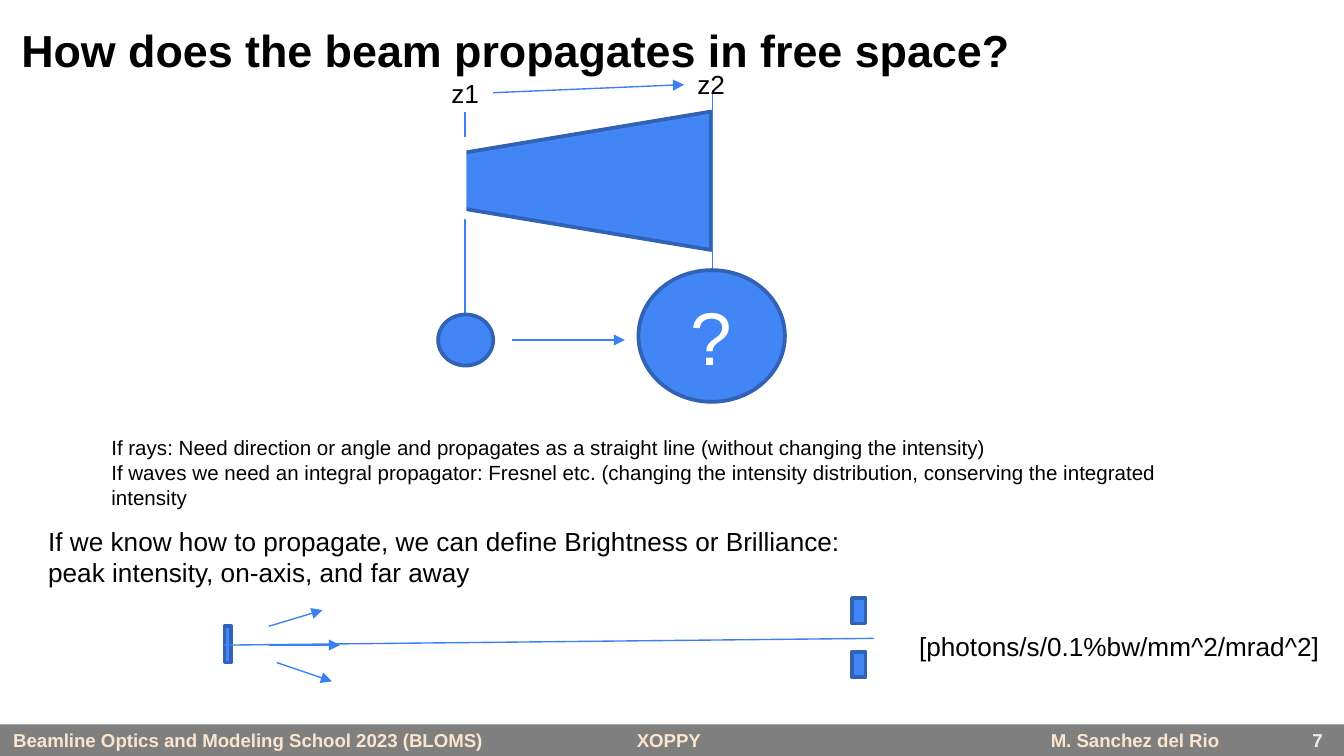
from lxml import etree
from pptx import Presentation, util as u
from pptx.dml.color import RGBColor
from pptx.enum import shapes, text
from pptx.oxml.ns import qn

THEME = dict(
    font="Arial", black="000000", white="FFFFFF", fill="4285F4", edge="3162B5",
    line="3C81F3", footer="FCE5CD", number="EFEFEF",
    title=24, body=14, note=11, small=10, big=40, edge_pt=2, line_pt=0.75)

SHAPE = shapes.MSO_SHAPE
ALIGN = text.PP_ALIGN
MIDDLE = text.MSO_ANCHOR.MIDDLE

# Content: box, paragraphs, size key, wrap
TEXTS = [
    ((0.73, 3.19, 8.55, 0.66), [
        "If rays: Need direction or angle and propagates as a straight line "
        "(without changing the intensity)",
        "If waves we need an integral propagator: Fresnel etc. (changing the "
        "intensity distribution, conserving the integrated intensity"], "note", True),
    ((0.26, 3.86, 8.78, 0.57), [
        "If we know how to propagate, we can define Brightness or Brilliance:",
        "peak intensity, on-axis, and far away"], "body", True),
    ((3.26, 0.53, 0.41, 0.34), ["z1"], "body", False),
    ((5.09, 0.46, 0.41, 0.34), ["z2"], "body", False),
    ((6.74, 4.64, 3.19, 0.34), ["[photons/s/0.1%bw/mm^2/mrad^2]"], "body", False),
]
TITLE = "How does the beam propagates in free space?"
FOOTER = ["Beamline Optics and Modeling School 2023 (BLOMS)", "XOPPY",
          "M. Sanchez del Rio"]
FOOTER_TABS = [4.64, 7.72]
PAGE = "7"

# Diagram: start, end, arrowhead
PLANES = [((3.46, 0.83), (3.46, 2.34), False), ((5.3, 0.67), (5.3, 2.34), False)]
PROPAGATION = [((3.67, 0.69), (5.09, 0.63), True), ((3.81, 2.53), (4.65, 2.53), True)]
RAYS = [((2, 4.8), (2.53, 4.8), True), ((2.06, 4.93), (2.47, 5.07), True),
        ((2, 4.66), (2.4, 4.54), True), ((1.67, 4.8), (6.5, 4.75), False)]
SPOT, UNKNOWN = (3.26, 2.34, 0.41, 0.38), (4.75, 2.01, 1.09, 0.98)
SOURCE = (1.67, 4.66, 0.05, 0.27)
SLIT = [(6.34, y, 0.1, 0.19) for y in (4.45, 4.85)]

# 16:9 slide
prs = Presentation()
prs.slide_width = u.Inches(10)
prs.slide_height = u.Inches(10 * 9 / 16)
s = prs.slides.add_slide(prs.slide_layouts[6])


def rgb(key):
    return RGBColor.from_string(THEME[key])


def write(sp, paragraphs, size, color="black", bold=False, align=ALIGN.LEFT,
          wrap=True, anchor=text.MSO_ANCHOR.TOP, pad=0.05):
    tf = sp.text_frame
    tf.word_wrap, tf.vertical_anchor = wrap, anchor
    tf.margin_left = tf.margin_right = u.Inches(0.1)
    tf.margin_top = tf.margin_bottom = u.Inches(pad)
    for i, line in enumerate(paragraphs):
        p = tf.paragraphs[0] if i == 0 else tf.add_paragraph()
        p.alignment = align
        r = p.add_run()
        r.text = line
        r.font.name, r.font.size = THEME["font"], u.Pt(THEME[size])
        r.font.bold, r.font.color.rgb = bold, rgb(color)


def add_text(box, paragraphs, size, **style):
    sp = s.shapes.add_textbox(*map(u.Inches, box))
    write(sp, paragraphs, size, **style)


def add_shape(kind, box, fill="fill", edge="edge"):
    sp = s.shapes.add_shape(kind, *map(u.Inches, box))
    sp.shadow.inherit = False
    sp.fill.solid()
    sp.fill.fore_color.rgb = rgb(fill)
    if edge:
        sp.line.color.rgb, sp.line.width = rgb(edge), u.Pt(THEME["edge_pt"])
    else:
        sp.line.fill.background()
    return sp


def add_lines(lines):
    for start, end, arrow in lines:
        c = s.shapes.add_connector(shapes.MSO_CONNECTOR.STRAIGHT,
                                   *map(u.Inches, start + end))
        c.line.color.rgb, c.line.width = rgb("line"), u.Pt(THEME["line_pt"])
        if arrow:
            etree.SubElement(c.line._get_or_add_ln(), qn("a:tailEnd"), type="triangle")
        etree.SubElement(c._element.spPr, qn("a:effectLst"))


# Footer bar, half transparent, with tab stops
bar = add_shape(SHAPE.RECTANGLE, (0, 5.39, 10, 0.24), "black", None)
color = bar.fill._xPr.find(qn("a:solidFill"))[0]
etree.SubElement(color, qn("a:alpha"), val="50000")
tabs = etree.SubElement(bar.text_frame.paragraphs[0]._p.get_or_add_pPr(), qn("a:tabLst"))
for x in FOOTER_TABS:
    etree.SubElement(tabs, qn("a:tab"), pos=str(u.Inches(x)), algn="l")
write(bar, ["\t".join(FOOTER)], "small", color="footer", bold=True, pad=0.03)
add_text((9.19, 5.37, 0.75, 0.27), [PAGE], "small", color="number", bold=True,
         align=ALIGN.RIGHT, anchor=MIDDLE, pad=0.03)

# Title
add_text((0.06, 0.07, 9.89, 0.61), [TITLE], "title", bold=True, pad=0.1)

# Beam cone between the two planes, its tip covered in white
cone = add_shape(SHAPE.ISOSCELES_TRIANGLE, (3.23, -0.2, 1.03, 3.09))
cone.rotation = 270
add_lines(PLANES)
add_shape(SHAPE.RECTANGLE, (2.12, 1.02, 1.35, 0.61), "white", None)

# Beam cross sections
add_shape(SHAPE.OVAL, SPOT)
write(add_shape(SHAPE.OVAL, UNKNOWN), ["?"], "big", color="white",
      align=ALIGN.CENTER, anchor=MIDDLE)
add_lines(PROPAGATION)

# Source, rays and slit
add_shape(SHAPE.RECTANGLE, SOURCE)
add_lines(RAYS)
for blade in SLIT:
    add_shape(SHAPE.RECTANGLE, blade)

# Labels and notes
for box, paragraphs, size, wrap in TEXTS:
    add_text(box, paragraphs, size, wrap=wrap)

prs.save("out.pptx")
